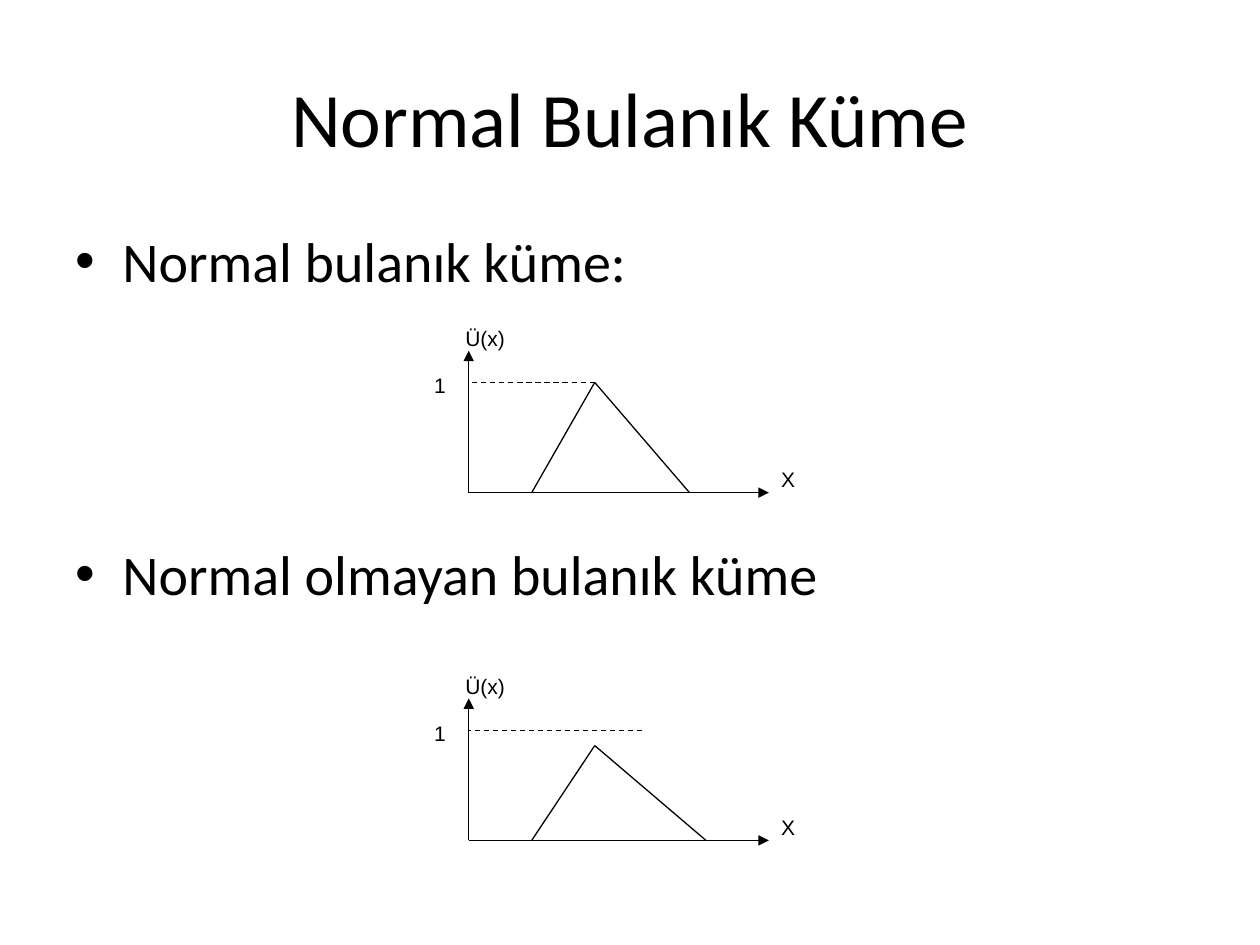
from lxml import etree
from pptx import Presentation
from pptx.dml.color import RGBColor
from pptx.enum import dml, shapes, text
from pptx.oxml.ns import qn
from pptx.util import Cm, Pt

BLACK = RGBColor(0, 0, 0)
WHITE = RGBColor(255, 255, 255)

TITLE = "Normal Bulanık Küme"
BULLETS = [("Normal bulanık küme:", 0), ("Normal olmayan bulanık küme", 140)]  # text, space before

# Graph geometry in cm, with x to the right and y upwards from the origin
AXIS_X, AXIS_Y, ONE_LEVEL = 6.05, 2.86, 2.22
LABELS = [  # text, left, top, width, height
    ("1", -0.95, 2.54, 0.64, 0.95),
    ("X", 6.05, 0.64, 0.95, 0.64),
    ("Ü(x)", -0.32, 3.49, 1.9, 0.95),
]
GRAPHS = [
    {"origin": (9.45, 9.93), "triangle": [(1.27, 0), (2.54, 2.22), (4.45, 0)], "dash_end": 2.54},
    {"origin": (9.45, 16.94), "triangle": [(1.27, 0), (2.54, 1.91), (4.78, 0)], "dash_end": 3.5},
]


def add_line(group, origin, start, end, arrow=False, dashed=False):
    (left, base), (x1, y1), (x2, y2) = origin, start, end
    line = group.shapes.add_connector(
        shapes.MSO_CONNECTOR.STRAIGHT,
        Cm(left + x1), Cm(base - y1), Cm(left + x2), Cm(base - y2))
    line.line.color.rgb = BLACK
    line.line.width = Pt(0.75)
    if dashed:
        line.line.dash_style = dml.MSO_LINE.DASH
    if arrow:
        etree.SubElement(line.line._get_or_add_ln(), qn("a:tailEnd"), type="triangle")
    etree.SubElement(line._element.spPr, qn("a:effectLst"))


def add_label(group, origin, label, x, y, width, height):
    shape = group.shapes.add_shape(
        shapes.MSO_SHAPE.RECTANGLE,
        Cm(origin[0] + x), Cm(origin[1] - y), Cm(width), Cm(height))
    shape.shadow.inherit = False
    shape.fill.solid()
    shape.fill.fore_color.rgb = WHITE
    shape.line.fill.background()
    frame = shape.text_frame
    frame.word_wrap = False
    frame.vertical_anchor = text.MSO_ANCHOR.TOP
    frame.text = label
    paragraph = frame.paragraphs[0]
    paragraph.alignment = text.PP_ALIGN.LEFT
    set_font(paragraph, "Arial", 12)


def set_font(paragraph, name, size):
    paragraph.font.name = name
    paragraph.font.size = Pt(size)
    paragraph.font.color.rgb = BLACK


def add_graph(slide, origin, triangle, dash_end):
    group = slide.shapes.add_group_shape()
    for label in LABELS:
        add_label(group, origin, *label)
    add_line(group, origin, (0, 0), (AXIS_X, 0), arrow=True)
    add_line(group, origin, (0, 0), (0, AXIS_Y), arrow=True)
    for start, end in zip(triangle, triangle[1:]):
        add_line(group, origin, start, end)
    add_line(group, origin, (dash_end, ONE_LEVEL), (0, ONE_LEVEL), dashed=True)


presentation = Presentation()
presentation.slide_width, presentation.slide_height = Cm(25.4), Cm(19.05)
slide = presentation.slides.add_slide(presentation.slide_layouts[6])

# Title
frame = slide.shapes.add_textbox(Cm(1.27), Cm(0.76), Cm(22.86), Cm(3.18)).text_frame
frame.word_wrap = True
frame.vertical_anchor = text.MSO_ANCHOR.MIDDLE
frame.text = TITLE
frame.paragraphs[0].alignment = text.PP_ALIGN.CENTER
set_font(frame.paragraphs[0], "Calibri", 44)

# Bullets, spaced to leave room for the first graph
frame = slide.shapes.add_textbox(Cm(1.27), Cm(4.45), Cm(22.86), Cm(12.57)).text_frame
frame.word_wrap = True
frame.text = "\n".join(bullet for bullet, _ in BULLETS)
for paragraph, (_, space) in zip(frame.paragraphs, BULLETS):
    properties = paragraph._p.get_or_add_pPr()
    properties.set("marL", str(Cm(0.95)))
    properties.set("indent", str(Cm(-0.95)))
    etree.SubElement(properties, qn("a:buFont"), typeface="Arial")
    etree.SubElement(properties, qn("a:buChar"), char="•")
    paragraph.space_before = Pt(space)
    set_font(paragraph, "Calibri", 32)

# Membership graphs
for graph in GRAPHS:
    add_graph(slide, **graph)

presentation.save("out.pptx")
